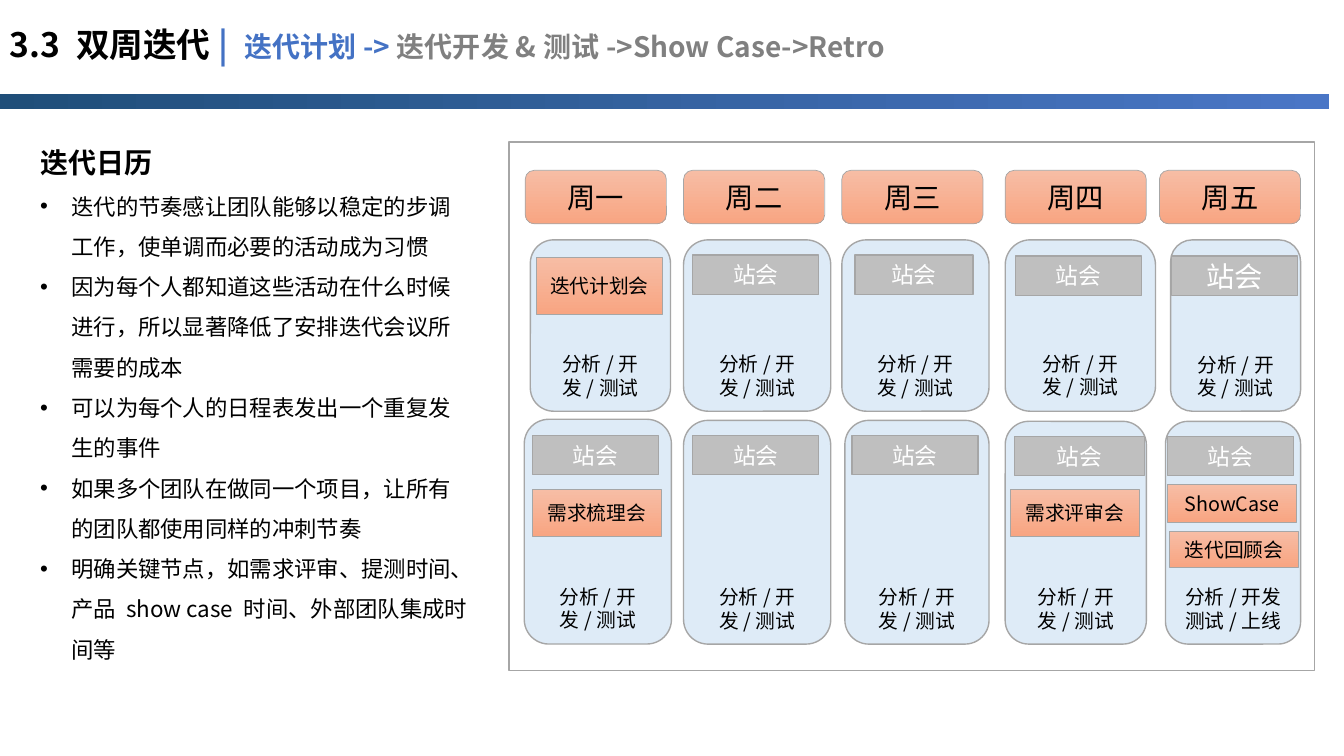
from lxml import etree
from pptx import Presentation
from pptx.dml.color import RGBColor
from pptx.enum.shapes import MSO_SHAPE
from pptx.enum.text import MSO_ANCHOR, PP_ALIGN
from pptx.oxml.ns import qn
from pptx.util import Pt

PX = 9144  # EMU per px, 100 px to the inch
FONT = "Noto Sans CJK SC"
RECT, ROUND = MSO_SHAPE.RECTANGLE, MSO_SHAPE.ROUNDED_RECTANGLE
TOP, MIDDLE, BOTTOM = MSO_ANCHOR.TOP, MSO_ANCHOR.MIDDLE, MSO_ANCHOR.BOTTOM
LEFT, CENTER = PP_ALIGN.LEFT, PP_ALIGN.CENTER

BLACK = RGBColor(0x00, 0x00, 0x00)
WHITE = RGBColor(0xFF, 0xFF, 0xFF)
BLUE = RGBColor(0x44, 0x72, 0xC4)
GRAY = RGBColor(0x80, 0x80, 0x80)
BORDER = RGBColor(0xA6, 0xA6, 0xA6)
STANDUP = RGBColor(0xBF, 0xBF, 0xBF)
CARD = RGBColor(0xDE, 0xEB, 0xF7)
ORANGE = (RGBColor(0xF7, 0xBD, 0xA5), RGBColor(0xF8, 0xA5, 0x82))
NAVY = (RGBColor(0x1F, 0x4E, 0x79), RGBColor(0x4A, 0x76, 0xC6))

WORK = "分析/开发/测试"
DAYS = [("周一", 521), ("周二", 678), ("周三", 835), ("周四", 997), ("周五", 1150)]
# Left, top, width, height, text
CARDS = [
    (526, 238, 139, 170, WORK), (678, 238, 146, 170, WORK),
    (835, 238, 146, 170, WORK), (997, 238, 149, 170, WORK),
    (1161, 238, 129, 170, WORK),
    (520, 416, 146, 223, WORK), (678, 417, 146, 222, WORK),
    (838, 417, 143, 222, WORK), (997, 418, 140, 221, WORK),
    (1156, 418, 134, 221, "分析/开发测试/上线"),
]
# Left, top, width, text size
STANDUPS = [
    (687, 253, 125, 16.2), (848, 253, 117, 16.2),
    (1007, 254, 125, 16.2), (1162, 254, 125, 20.2),
    (528, 432, 125, 16.2), (687, 432, 125, 16.2), (845, 432, 125, 16.2),
    (1006, 433, 129, 16.2), (1158, 433, 125, 16.2),
]
MEETINGS = [
    (532, 255, 125, 57, "迭代计划会"), (528, 486, 128, 46, "需求梳理会"),
    (1002, 486, 128, 46, "需求评审会"), (1158, 481, 128, 37, "ShowCase"),
    (1160, 527, 128, 36, "迭代回顾会"),
]
TITLE = [("3.3 双周迭代", 24, BLACK), ("| ", 24, BLUE), ("迭代计划->", 20, BLUE),
         ("迭代开发&测试->Show Case->Retro", 20, GRAY)]
NOTES = [
    "迭代的节奏感让团队能够以稳定的步调工作，使单调而必要的活动成为习惯",
    "因为每个人都知道这些活动在什么时候进行，所以显著降低了安排迭代会议所需要的成本",
    "可以为每个人的日程表发出一个重复发生的事件",
    "如果多个团队在做同一个项目，让所有的团队都使用同样的冲刺节奏",
    "明确关键节点，如需求评审、提测时间、产品 show case 时间、外部团队集成时间等",
]


def write(p, text, size=16, color=BLACK, bold=False, align=LEFT, spacing=None):
    """Add one formatted run to a paragraph."""
    p.alignment = align
    if spacing:
        p.line_spacing = spacing
    r = p.add_run()
    r.text = text
    r.font.size, r.font.bold, r.font.name = Pt(size), bold, FONT
    r.font.color.rgb = color
    etree.SubElement(r.font._element, qn("a:ea"), typeface=FONT)


class Deck:
    def __init__(self, prs):
        self.s = prs.slides.add_slide(prs.slide_layouts[6])

    def box(self, x, y, w, h, kind=RECT, fill=None, angle=270, line=BORDER,
            weight=1, text="", size=14.1, color=BLACK, anchor=MIDDLE):
        sp = self.s.shapes.add_shape(kind, x * PX, y * PX, w * PX, h * PX)
        sp.shadow.inherit = False
        if fill is None:
            sp.fill.background()
        elif isinstance(fill, RGBColor):
            sp.fill.solid()
            sp.fill.fore_color.rgb = fill
        else:
            sp.fill.gradient()
            sp.fill.gradient_angle = angle
            for stop, shade in zip(sp.fill.gradient_stops, fill):
                stop.color.rgb = shade
        if line is None:
            sp.line.fill.background()
        else:
            sp.line.color.rgb = line
            sp.line.width = Pt(weight)
        if text:
            tf = sp.text_frame
            tf.word_wrap = True
            tf.vertical_anchor = anchor
            write(tf.paragraphs[0], text, size=size, color=color, align=CENTER)

    def text(self, x, y, w, h, anchor=TOP):
        tf = self.s.shapes.add_textbox(x * PX, y * PX, w * PX, h * PX).text_frame
        tf.word_wrap = True
        tf.vertical_anchor = anchor
        return tf

    def bullet(self, tf, text, indent=31):
        p = tf.add_paragraph()
        pPr = p._p.get_or_add_pPr()
        pPr.set("marL", str(indent * PX))
        pPr.set("indent", str(-indent * PX))
        etree.SubElement(pPr, qn("a:buFont"), typeface="Arial")
        etree.SubElement(pPr, qn("a:buChar"), char="•")
        write(p, text, spacing=1.5)


def main():
    prs = Presentation()
    prs.slide_width, prs.slide_height = 1333 * PX, 750 * PX
    deck = Deck(prs)

    # Header
    deck.box(0, 93, 1318, 15, fill=NAVY, angle=0, line=None)
    tf = deck.text(0, 1, 1304, 90, anchor=MIDDLE)
    for text, size, color in TITLE:
        write(tf.paragraphs[0], text, size=size, color=color, bold=True, spacing=0.9)

    # Notes on the calendar
    tf = deck.text(30, 123, 444, 541)
    write(tf.paragraphs[0], "迭代日历", size=20, bold=True, spacing=1.5)
    for note in NOTES:
        deck.bullet(tf, note)

    # Two-week calendar
    deck.box(505, 141, 799, 524)
    for day, x in DAYS:
        deck.box(x, 169, 140, 53, ROUND, ORANGE, weight=0.5, text=day, size=20.2)
    for x, y, w, h, text in CARDS:
        deck.box(x, y, w, h, ROUND, CARD, text=text, anchor=BOTTOM)
    for x, y, w, size in STANDUPS:
        deck.box(x, y, w, 39, fill=STANDUP, text="站会", size=size, color=WHITE)
    for x, y, w, h, text in MEETINGS:
        deck.box(x, y, w, h, fill=ORANGE, weight=0.5, text=text)

    prs.save("out.pptx")


if __name__ == "__main__":
    main()
